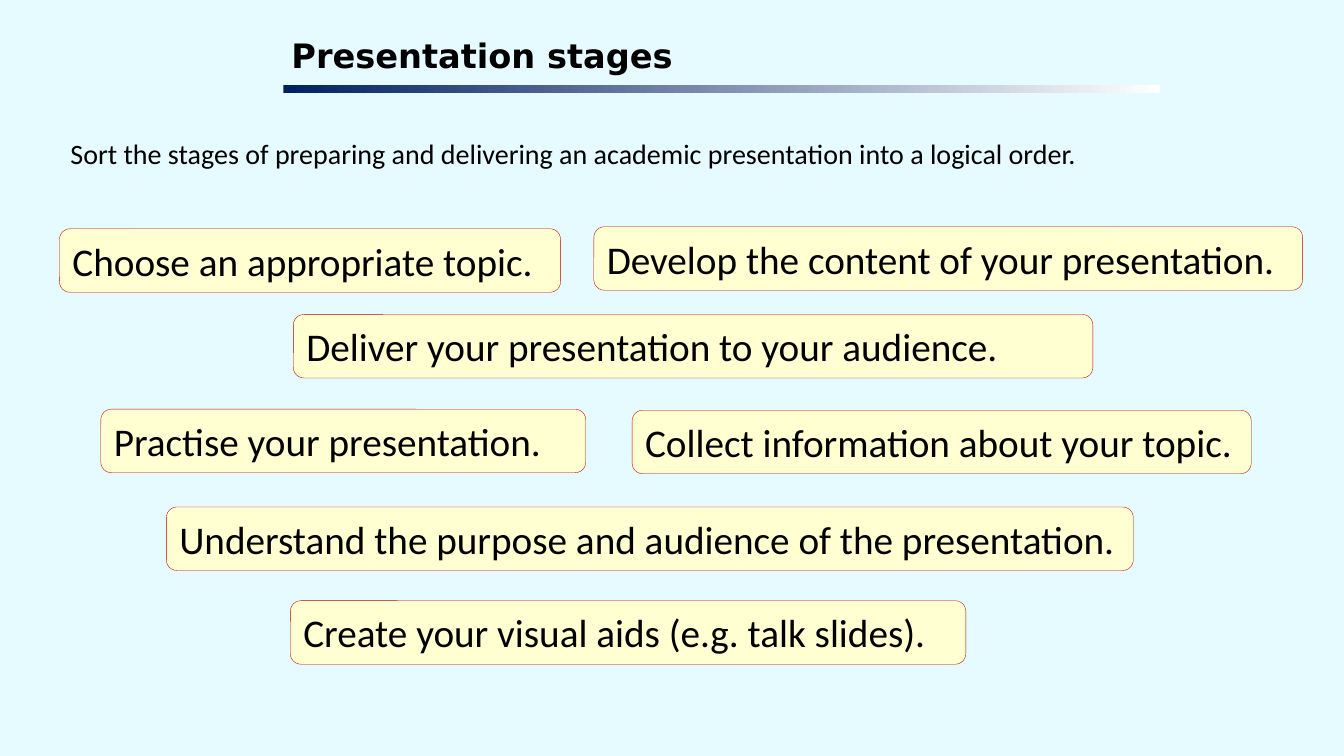
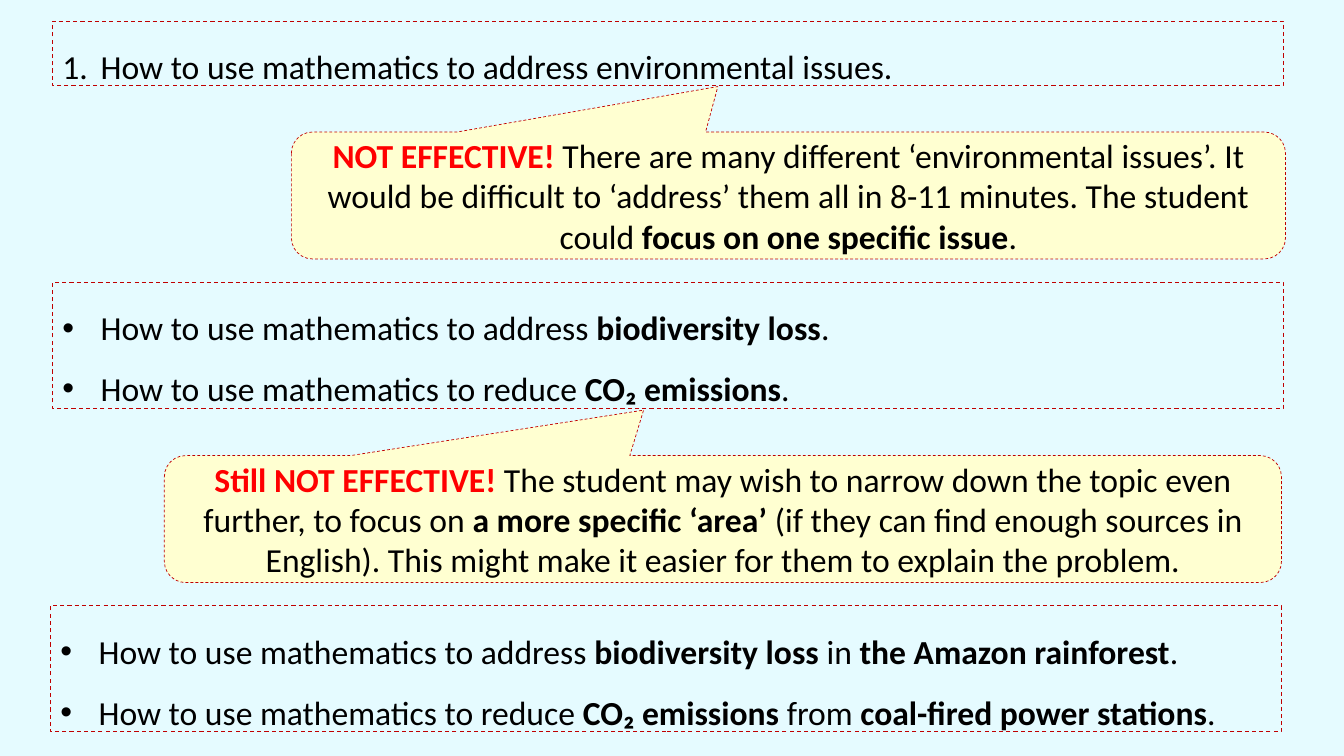
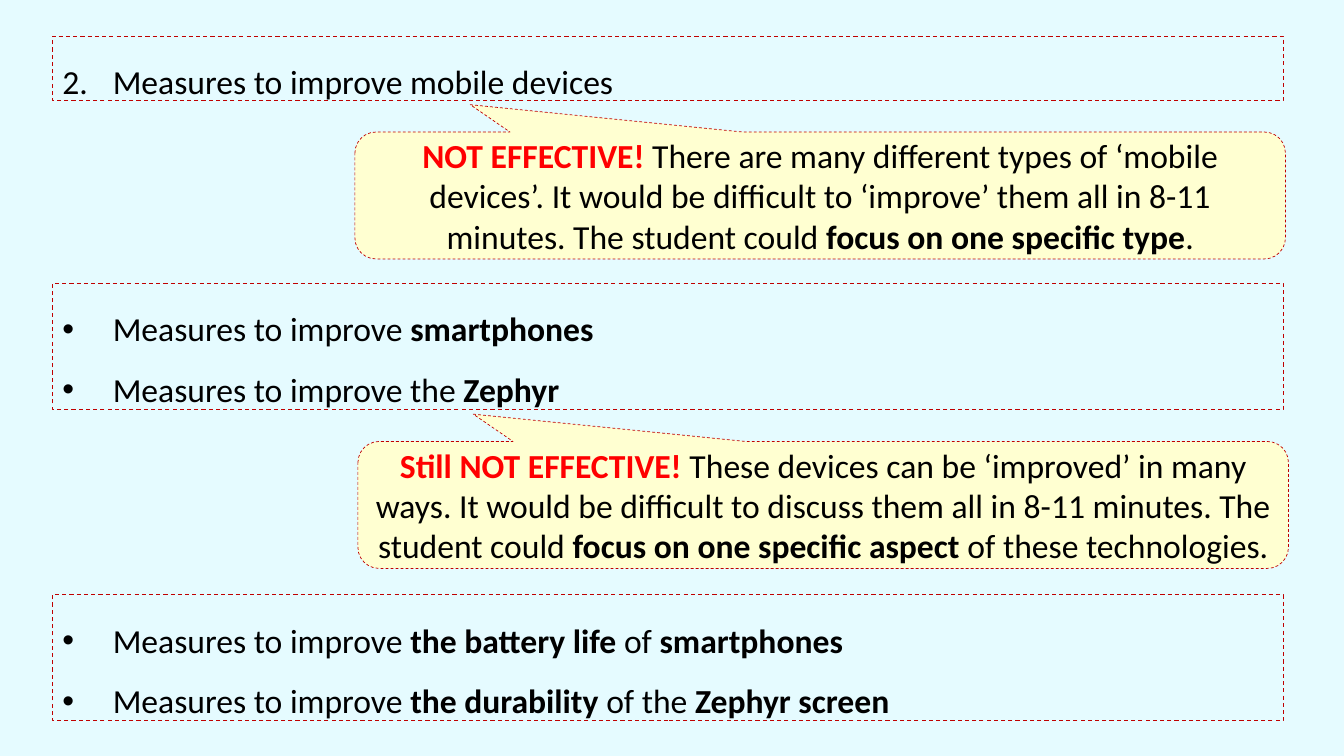
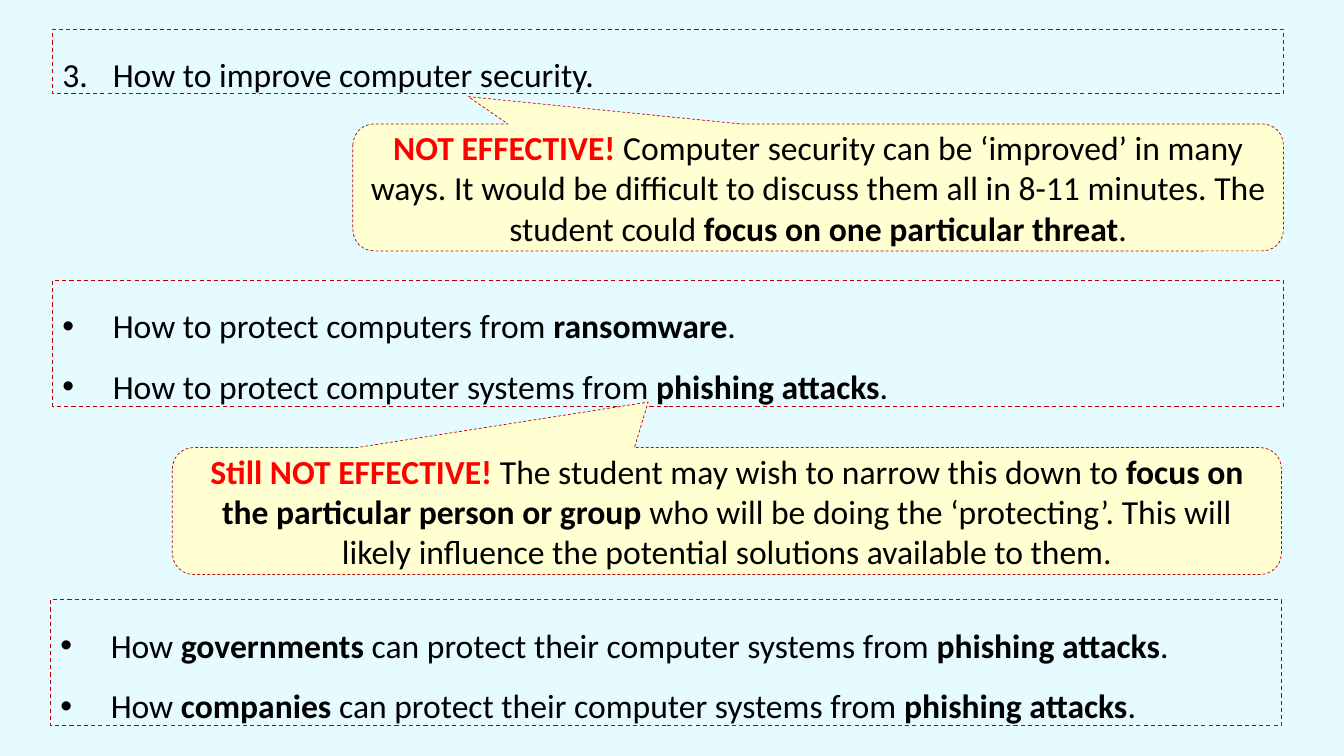
import dataclasses

import pptx
import pptx.dml.color
import pptx.enum.dml
import pptx.enum.shapes
import pptx.enum.text
import pptx.oxml
import pptx.oxml.ns
import pptx.util

Inches = pptx.util.Inches
Pt = pptx.util.Pt
Align = pptx.enum.text.PP_ALIGN
Anchor = pptx.enum.text.MSO_ANCHOR
Fit = pptx.enum.text.MSO_AUTO_SIZE
Preset = pptx.enum.shapes.MSO_SHAPE


@dataclasses.dataclass(frozen=True)
class Theme:
    background: str = "E5FBFF"
    ink: str = "000000"
    alert: str = "FF0000"
    card: str = "FFFFD1"
    outline: str = "C00000"
    band_start: str = "002060"
    band_end: str = "FFFFFF"
    body_font: str = "Calibri"
    title_font: str = "DejaVu Sans"
    intro_size: int = 20
    text_size: int = 24
    card_size: int = 28


THEME = Theme()
SLIDE_WIDTH, SLIDE_HEIGHT = 13.33, 7.5
CARD_HEIGHT = 0.63
TOPIC_WIDTH = 12.21
TOPIC_HEIGHTS = {1: 0.64, 2: 1.25}
CALLOUT_HEIGHT = 1.26
# Pointer tip and corner radius, as shares of the callout's size
POINTERS = {"middle": (-0.071, -0.858, 0.167), "left": (-0.376, -0.715, 0.167)}

TITLE = "Presentation stages"
INTRO = "Sort the stages of preparing and delivering an academic presentation into a logical order."
STAGES = [  # left, top, width, text
    (1.65, 5.03, 9.59, "Understand the purpose and audience of the presentation."),
    (0.59, 2.27, 4.97, "Choose an appropriate topic."),
    (6.27, 4.07, 6.14, "Collect information about your topic."),
    (5.89, 2.25, 7.03, "Develop the content of your presentation."),
    (2.88, 5.96, 6.7, "Create your visual aids (e.g. talk slides)."),
    (1, 4.06, 4.81, "Practise your presentation."),
    (2.91, 3.12, 7.93, "Deliver your presentation to your audience."),
]

# Asterisks enclose bold words.
# Topics: left, top, lines. Callouts: left, top, width, pointer, verdict, advice.
EXAMPLES = [
    {
        "number": 1,
        "indent": 0.38,
        "topics": [
            (0.52, 0.21, ["How to use mathematics to address environmental issues."]),
            (0.52, 2.8, ["How to use mathematics to address *biodiversity loss*.",
                         "How to use mathematics to reduce *CO₂ emissions*."]),
            (0.5, 6.01, ["How to use mathematics to address *biodiversity loss* in *the Amazon rainforest*.",
                         "How to use mathematics to reduce *CO₂ emissions* from *coal-fired power stations*."]),
        ],
        "callouts": [
            (2.89, 1.31, 9.86, "middle", "NOT EFFECTIVE!",
             " There are many different ‘environmental issues’. It would be difficult to ‘address’ "
             "them all in 8-11 minutes. The student could *focus on one specific issue*."),
            (1.63, 4.52, 11.08, "middle", "Still NOT EFFECTIVE!",
             " The student may wish to narrow down the topic even further, to focus on "
             "*a more specific ‘area’* (if they can find enough sources in English). "
             "This might make it easier for them to explain the problem."),
        ],
    },
    {
        "number": 2,
        "indent": 0.5,
        "topics": [
            (0.52, 0.36, ["Measures to improve mobile devices"]),
            (0.52, 2.81, ["Measures to improve *smartphones*",
                          "Measures to improve the *Zephyr*"]),
            (0.52, 5.9, ["Measures to improve *the battery life* of *smartphones*",
                         "Measures to improve *the durability* of the *Zephyr screen*"]),
        ],
        "callouts": [
            (3.52, 1.31, 9.23, "left", "NOT EFFECTIVE!",
             " There are many different types of ‘mobile devices’. It would be difficult to "
             "‘improve’ them all in 8-11 minutes. The student could *focus on one specific type*."),
            (3.55, 4.38, 9.23, "left", "Still NOT EFFECTIVE!",
             " These devices can be ‘improved’ in many ways. It would be difficult to discuss them "
             "all in 8-11 minutes. The student could *focus on one specific aspect* "
             "of these technologies."),
        ],
    },
    {
        "number": 3,
        "indent": 0.5,
        "topics": [
            (0.52, 0.29, ["How to improve computer security."]),
            (0.52, 2.78, ["How to protect computers from *ransomware*.",
                          "How to protect computer systems from *phishing attacks*."]),
            (0.5, 5.95, ["How *governments* can protect their computer systems from *phishing attacks*.",
                         "How *companies* can protect their computer systems from *phishing attacks*."]),
        ],
        "callouts": [
            (3.5, 1.23, 9.23, "left", "NOT EFFECTIVE!",
             " Computer security can be ‘improved’ in many ways. It would be difficult to discuss "
             "them all in 8-11 minutes. The student could *focus on one particular threat*."),
            (1.71, 4.44, 11, "middle", "Still NOT EFFECTIVE!",
             " The student may wish to narrow this down to *focus on the particular person or group* "
             "who will be doing the ‘protecting’. This will likely influence the potential "
             "solutions available to them."),
        ],
    },
]


def colour(name):
    return pptx.dml.color.RGBColor.from_string(getattr(THEME, name))


def set_font(font, size, face=THEME.body_font):
    font.name, font.size = face, Pt(size)
    font.color.rgb = colour("ink")


def add_panel(page, preset, area, line_width, fill=None, dashed=False):
    panel = page.shapes.add_shape(preset, *map(Inches, area))
    panel.shadow.inherit = False
    if fill:
        panel.fill.solid()
        panel.fill.fore_color.rgb = colour(fill)
    else:
        panel.fill.background()
    panel.line.color.rgb = colour("outline")
    panel.line.width = Pt(line_width)
    if dashed:
        panel.line.dash_style = pptx.enum.dml.MSO_LINE.DASH
    panel.text_frame.word_wrap = True
    return panel


def add_marked_text(para, text):
    """Add runs to the paragraph, bold between asterisks."""
    for position, part in enumerate(text.split("*")):
        if part:
            span = para.add_run()
            span.text = part
            span.font.bold = position % 2 == 1


def add_marker(para, indent, number=None):
    """Give the paragraph a hanging number, or a bullet when there is none."""
    props = para._p.get_or_add_pPr()
    props.set("marL", str(Inches(indent)))
    props.set("indent", str(-Inches(indent)))
    if number:
        marker = f'<a:buAutoNum {{}} type="arabicPeriod" startAt="{number}"/>'
    else:
        props.append(pptx.oxml.parse_xml(
            f'<a:buFont {pptx.oxml.ns.nsdecls("a")} typeface="Arial"/>'))
        marker = '<a:buChar {} char="•"/>'
    props.append(pptx.oxml.parse_xml(marker.format(pptx.oxml.ns.nsdecls("a"))))


def add_topic(page, left, top, lines, indent, number):
    area = (left, top, TOPIC_WIDTH, TOPIC_HEIGHTS[len(lines)])
    frame = add_panel(page, Preset.RECTANGLE, area, 0.75, dashed=True).text_frame
    frame.vertical_anchor = Anchor.TOP
    frame.auto_size = Fit.SHAPE_TO_FIT_TEXT
    for index, line in enumerate(lines):
        para = frame.add_paragraph() if index else frame.paragraphs[0]
        add_marker(para, indent, number)
        para.alignment = Align.LEFT
        para.line_spacing = 1.5
        set_font(para.font, THEME.text_size)
        add_marked_text(para, line)


def add_callout(page, left, top, width, pointer, verdict, advice):
    callout = add_panel(page, Preset.ROUNDED_RECTANGULAR_CALLOUT,
                        (left, top, width, CALLOUT_HEIGHT), 0.5, "card", dashed=True)
    for index, value in enumerate(POINTERS[pointer]):
        callout.adjustments[index] = value
    callout.text_frame.vertical_anchor = Anchor.MIDDLE
    para = callout.text_frame.paragraphs[0]
    para.alignment = Align.CENTER
    set_font(para.font, THEME.text_size)
    span = para.add_run()
    span.text = verdict
    span.font.bold = True
    span.font.color.rgb = colour("alert")
    add_marked_text(para, advice)


def add_title(page):
    title = page.shapes.title
    title.left, title.top, title.width, title.height = map(Inches, (2.85, 0.31, 8.66, 0.53))
    frame = title.text_frame
    frame.margin_left = frame.margin_right = frame.margin_top = frame.margin_bottom = Inches(0.04)
    frame.vertical_anchor = Anchor.TOP
    frame.auto_size = Fit.NONE
    frame.text = TITLE
    para = frame.paragraphs[0]
    para.alignment = Align.LEFT
    set_font(para.font, THEME.text_size, THEME.title_font)
    para.font.bold = True

    band = page.shapes.add_shape(Preset.RECTANGLE, *map(Inches, (2.81, 0.84, 8.7, 0.08)))
    band.shadow.inherit = False
    band.line.fill.background()
    band.fill.gradient()
    band.fill.gradient_angle = 0
    for stop, name in zip(band.fill.gradient_stops, ("band_start", "band_end")):
        stop.color.rgb = colour(name)


def build_stages(page):
    add_title(page)
    intro = page.shapes.add_textbox(*map(Inches, (0.6, 1.34, 11.81, 0.91))).text_frame
    intro.word_wrap = True
    intro.text = INTRO
    intro.paragraphs[0].alignment = Align.JUSTIFY
    intro.paragraphs[0].line_spacing = 0.9
    set_font(intro.paragraphs[0].font, THEME.intro_size)

    for left, top, width, text in STAGES:
        card = add_panel(page, Preset.ROUNDED_RECTANGLE,
                         (left, top, width, CARD_HEIGHT), 0.25, "card")
        frame = card.text_frame
        frame.vertical_anchor = Anchor.TOP
        frame.auto_size = Fit.SHAPE_TO_FIT_TEXT
        frame.text = text
        frame.paragraphs[0].alignment = Align.LEFT
        set_font(frame.paragraphs[0].font, THEME.card_size)


def build_example(page, example):
    for index, (left, top, lines) in enumerate(example["topics"]):
        number = None if index else example["number"]
        add_topic(page, left, top, lines, example["indent"], number)
    for callout in example["callouts"]:
        add_callout(page, *callout)


def main():
    deck = pptx.Presentation()
    deck.slide_width, deck.slide_height = Inches(SLIDE_WIDTH), Inches(SLIDE_HEIGHT)
    backdrop = deck.slide_master.background.fill
    backdrop.solid()
    backdrop.fore_color.rgb = colour("background")
    title_only, blank = deck.slide_layouts[5], deck.slide_layouts[6]
    build_stages(deck.slides.add_slide(title_only))
    for example in EXAMPLES:
        build_example(deck.slides.add_slide(blank), example)
    deck.save("out.pptx")


if __name__ == "__main__":
    main()
